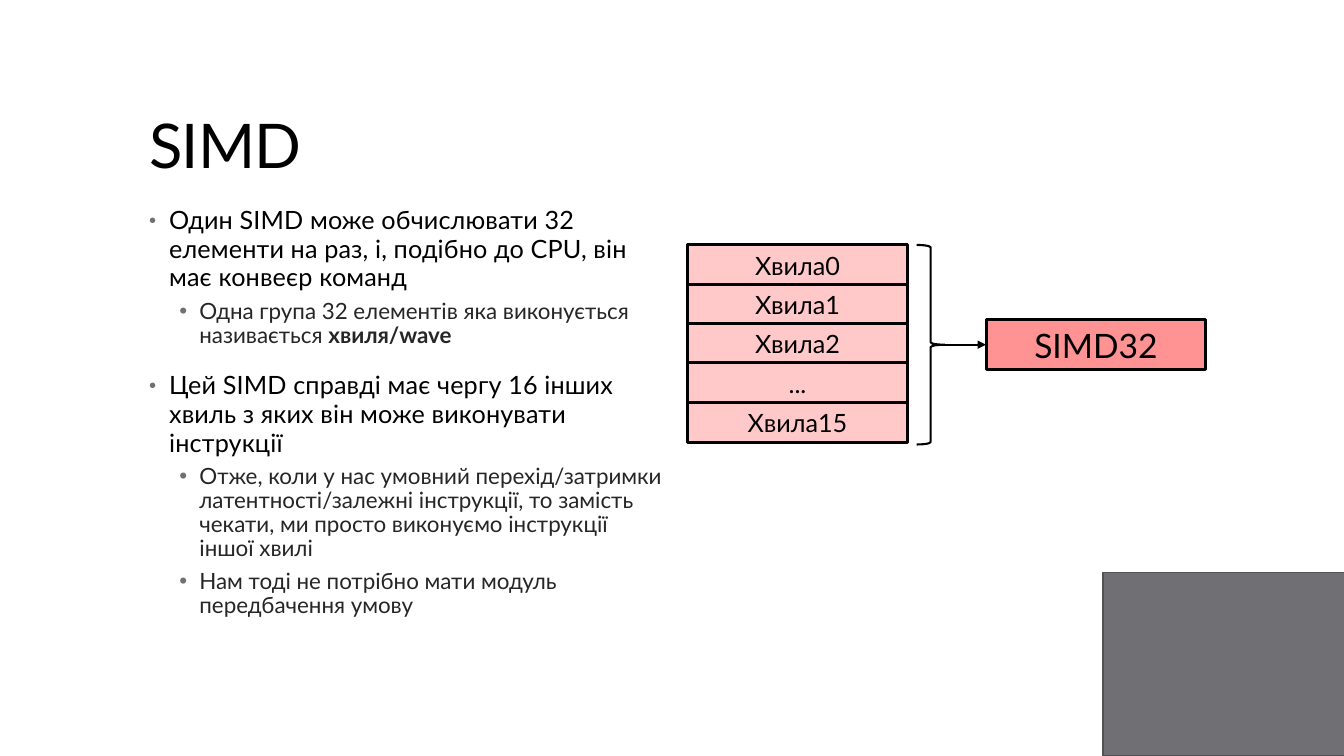
from dataclasses import dataclass

from lxml import etree
from pptx import Presentation
from pptx.dml.color import RGBColor
from pptx.enum.shapes import MSO_CONNECTOR, MSO_SHAPE
from pptx.enum.text import MSO_ANCHOR, PP_ALIGN
from pptx.oxml.ns import qn
from pptx.util import Inches, Pt

RECTANGLE = MSO_SHAPE.RECTANGLE
RIGHT_BRACE = MSO_SHAPE.RIGHT_BRACE
STRAIGHT = MSO_CONNECTOR.STRAIGHT
TOP, BOTTOM = MSO_ANCHOR.TOP, MSO_ANCHOR.BOTTOM
CENTER = PP_ALIGN.CENTER

BLACK = RGBColor(0x00, 0x00, 0x00)
DARK = RGBColor(0x26, 0x26, 0x26)
GRAY = RGBColor(0x6F, 0x6F, 0x74)
GRAY_EDGE = RGBColor(0x52, 0x52, 0x56)
PINK = RGBColor(0xFF, 0xC9, 0xC9)
RED = RGBColor(0xFF, 0x93, 0x93)
FONT = "Lato"


@dataclass(frozen=True)
class Level:
    size: int
    color: RGBColor
    indent: float
    bullet_percent: int
    tracking: int
    spacing: dict


@dataclass(frozen=True)
class Bullet:
    level: int
    text: str
    bold_end: str = ""


@dataclass(frozen=True)
class Box:
    left: float
    top: float
    width: float
    height: float
    fill: RGBColor | None
    line: RGBColor
    line_width: float
    text: str = ""
    size: int = 18
    kind: MSO_SHAPE = RECTANGLE


LEVELS = (
    Level(18, BLACK, 0.2, 80, 10,
          {"line_spacing": 0.95, "space_before": Pt(14), "space_after": Pt(2)}),
    Level(16, DARK, 0.5, 100, 0,
          {"line_spacing": 0.9, "space_before": Pt(3), "space_after": Pt(3)}),
)
BULLETS = (
    Bullet(0, "Один SIMD може обчислювати 32 елементи на раз, і, подібно до CPU, "
              "він має конвеєр команд"),
    Bullet(1, "Одна група 32 елементів яка виконується називається ", "хвиля/wave"),
    Bullet(0, "Цей SIMD справді має чергу 16 інших хвиль з яких він може виконувати "
              "інструкції"),
    Bullet(1, "Отже, коли у нас умовний перехід/затримки латентності/залежні "
              "інструкції, то замість чекати, ми просто виконуємо інструкції іншої хвилі"),
    Bullet(1, "Нам тоді не потрібно мати модуль передбачення умову"),
)
WAVES = ("Хвила0", "Хвила1", "Хвила2", "...", "Хвила15")
WAVE_LEFT, WAVE_TOP, WAVE_STEP = 6.82, 2.43, 0.39
BOX_WIDTH, WAVE_HEIGHT = 2.18, 0.4
MIDDLE = 3.42


def apply(target, values: dict) -> None:
    for name, value in values.items():
        setattr(target, name, value)


def add_run(paragraph, text: str, size: int, color: RGBColor,
            tracking: int = 0, bold: bool = False) -> None:
    run = paragraph.add_run()
    run.text = text
    apply(run.font, {"name": FONT, "size": Pt(size), "bold": bold})
    run.font.color.rgb = color
    run.font._element.set("spc", str(tracking))


def add_text_frame(slide, left: float, top: float, width: float, height: float, anchor):
    shape = slide.shapes.add_textbox(
        Inches(left), Inches(top), Inches(width), Inches(height))
    apply(shape.text_frame, {"word_wrap": True, "vertical_anchor": anchor})
    return shape.text_frame


def add_bullet_mark(paragraph, level: Level) -> None:
    properties = paragraph._p.get_or_add_pPr()
    properties.set("marL", str(Inches(level.indent)))
    properties.set("indent", str(-Inches(0.2)))
    color = etree.SubElement(properties, qn("a:buClr"))
    etree.SubElement(color, qn("a:srgbClr"), val=str(GRAY))
    etree.SubElement(properties, qn("a:buSzPct"), val=str(level.bullet_percent * 1000))
    etree.SubElement(properties, qn("a:buFont"), typeface="Arial")
    etree.SubElement(properties, qn("a:buChar"), char="•")


def add_bullets(text_frame, bullets: tuple[Bullet, ...]) -> None:
    for index, bullet in enumerate(bullets):
        paragraph = text_frame.add_paragraph() if index else text_frame.paragraphs[0]
        level = LEVELS[bullet.level]
        paragraph.level = bullet.level
        add_bullet_mark(paragraph, level)
        apply(paragraph, level.spacing)
        if index == 0:
            paragraph.space_before = Pt(0)
        add_run(paragraph, bullet.text, level.size, level.color, level.tracking)
        if bullet.bold_end:
            add_run(paragraph, bullet.bold_end, level.size, level.color,
                    level.tracking, bold=True)


def add_box(slide, box: Box) -> None:
    shape = slide.shapes.add_shape(
        box.kind, Inches(box.left), Inches(box.top), Inches(box.width), Inches(box.height))
    shape.shadow.inherit = False
    if box.fill is None:
        shape.fill.background()
    else:
        shape.fill.solid()
        shape.fill.fore_color.rgb = box.fill
    shape.line.color.rgb = box.line
    shape.line.width = Pt(box.line_width)
    if box.text:
        apply(shape.text_frame, {"word_wrap": True, "vertical_anchor": TOP})
        paragraph = shape.text_frame.paragraphs[0]
        paragraph.alignment = CENTER
        add_run(paragraph, box.text, box.size, BLACK)


def add_arrow(slide, start: float, end: float, height: float) -> None:
    arrow = slide.shapes.add_connector(
        STRAIGHT, Inches(start), Inches(height), Inches(end), Inches(height))
    arrow.line.color.rgb = BLACK
    arrow.line.width = Pt(1.5)
    etree.SubElement(arrow.line._get_or_add_ln(), qn("a:tailEnd"), type="triangle")
    etree.SubElement(arrow._element.spPr, qn("a:effectLst"))


def main() -> None:
    presentation = Presentation()
    presentation.slide_width = Inches(13.33)
    presentation.slide_height = Inches(7.5)
    slide = presentation.slides.add_slide(presentation.slide_layouts[6])

    # Corner block
    add_box(slide, Box(10.94, 5.68, 2.4, 1.82, GRAY, GRAY_EDGE, 1.1))

    # Title and bullets
    title = add_text_frame(slide, 1.38, 0.4, 10.6, 1.45, BOTTOM).paragraphs[0]
    title.line_spacing = 0.9
    add_run(title, "SIMD", 44, BLACK, tracking=-50)
    add_bullets(add_text_frame(slide, 1.38, 2, 5.34, 5.1, TOP), BULLETS)

    # Queue of waves feeding the SIMD unit
    add_box(slide, Box(9.78, 3.17, BOX_WIDTH, 0.5, RED, BLACK, 2.25, "SIMD32", 24))
    for index, wave in enumerate(WAVES):
        add_box(slide, Box(WAVE_LEFT, WAVE_TOP + index * WAVE_STEP, BOX_WIDTH,
                           WAVE_HEIGHT, PINK, BLACK, 2.25, wave))
    add_box(slide, Box(9.09, WAVE_TOP, 0.28, 1.98, None, BLACK, 1.5, kind=RIGHT_BRACE))
    add_arrow(slide, 9.37, 9.78, MIDDLE)

    presentation.save("out.pptx")


if __name__ == "__main__":
    main()
